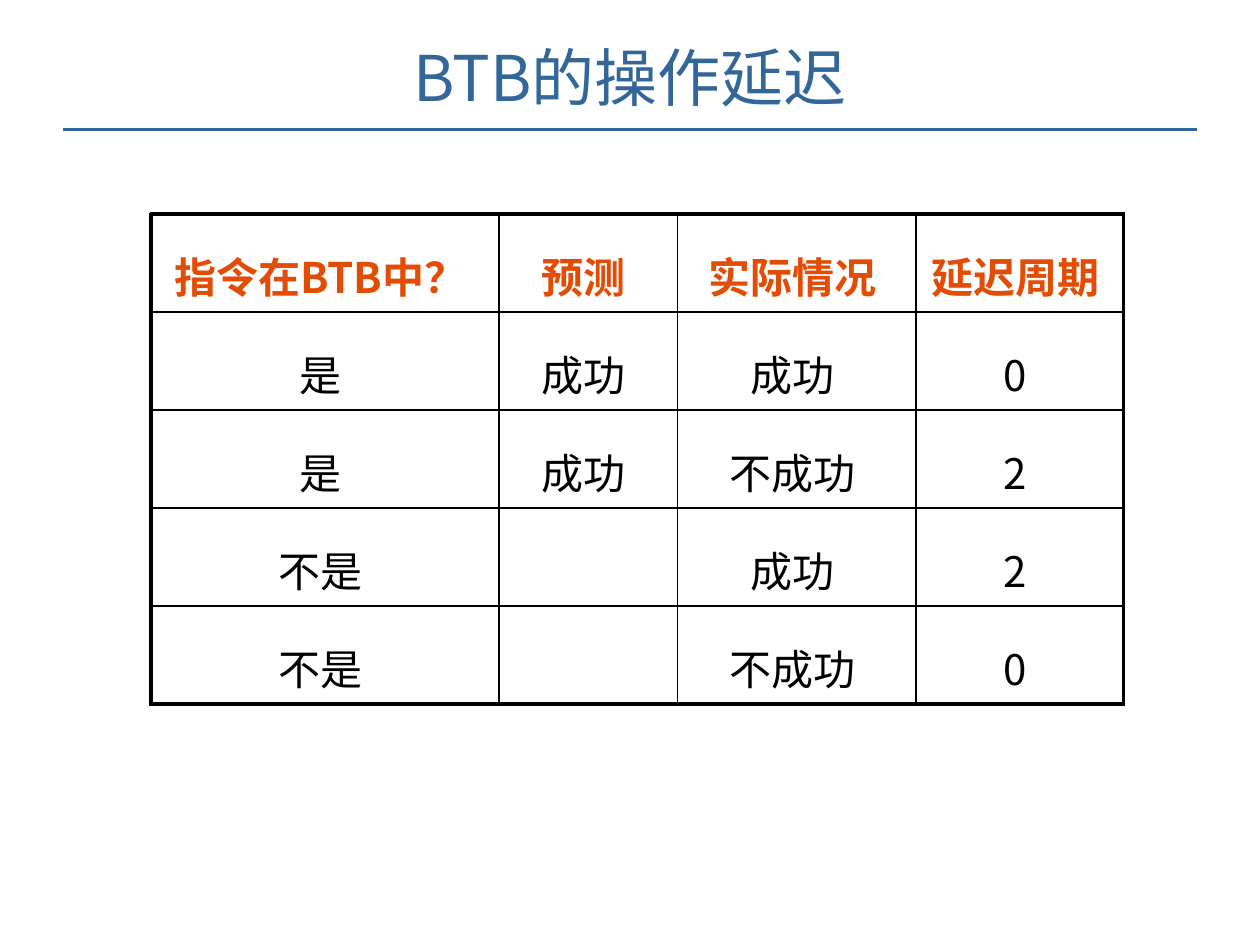
from dataclasses import dataclass

from pptx import Presentation
from pptx import util as u
from pptx.dml.color import RGBColor
from pptx.enum import shapes, text
from pptx.oxml import ns, xmlchemy


@dataclass(frozen=True)
class Theme:
    font: str = "Noto Sans CJK SC"
    accent: str = "336699"
    heading: str = "E24C05"
    ink: str = "000000"
    title_size: float = 36
    table_size: float = 24
    rule_width: float = 2
    inner_border: float = 1
    outer_border: float = 2.25


def add_child(parent, tag, **attributes):
    child = xmlchemy.OxmlElement(tag)
    for name, value in attributes.items():
        child.set(name, str(value))
    parent.append(child)
    return child


def write_text(frame, content, *, font, size, color, bold=False, line_spacing=1.0):
    paragraph = frame.paragraphs[0]
    paragraph.alignment = text.PP_ALIGN.CENTER
    paragraph.line_spacing = line_spacing
    run = paragraph.add_run()
    run.text = content
    run.font.name = font
    run.font.size = u.Pt(size)
    run.font.bold = bold
    run.font.color.rgb = RGBColor.from_string(color)
    add_child(run.font._element, "a:ea", typeface=font)


class SlideBuilder:
    def __init__(self, slide, theme):
        self.slide = slide
        self.theme = theme

    def title(self, content, left, top, width, height):
        shape = self.slide.shapes.title
        shape.left, shape.top = u.Pt(left), u.Pt(top)
        shape.width, shape.height = u.Pt(width), u.Pt(height)
        frame = shape.text_frame
        frame.word_wrap = True
        frame.auto_size = text.MSO_AUTO_SIZE.NONE
        frame.vertical_anchor = text.MSO_ANCHOR.MIDDLE
        write_text(frame, content, font=self.theme.font,
                   size=self.theme.title_size, color=self.theme.accent)

    def rule(self, left, right, top):
        line = self.slide.shapes.add_connector(
            shapes.MSO_CONNECTOR.STRAIGHT,
            u.Pt(left), u.Pt(top), u.Pt(right), u.Pt(top))
        line.line.color.rgb = RGBColor.from_string(self.theme.accent)
        line.line.width = u.Pt(self.theme.rule_width)
        add_child(line._element.find(ns.qn("p:spPr")), "a:effectLst")

    def table(self, rows, left, top, column_widths, row_height):
        row_count, column_count = len(rows), len(column_widths)
        shape = self.slide.shapes.add_table(
            row_count, column_count, u.Pt(left), u.Pt(top),
            u.Pt(sum(column_widths)), u.Pt(row_height * row_count))
        table = shape.table
        table.first_row = table.horz_banding = False
        for column, width in zip(table.columns, column_widths):
            column.width = u.Pt(width)
        for row_index, values in enumerate(rows):
            table.rows[row_index].height = u.Pt(row_height)
            for column_index, value in enumerate(values):
                cell = table.cell(row_index, column_index)
                self.borders(cell, {
                    "lnL": column_index == 0,
                    "lnR": column_index == column_count - 1,
                    "lnT": row_index == 0,
                    "lnB": row_index == row_count - 1,
                })
                cell.fill.background()
                if value:
                    self.cell_text(cell, value, is_heading=row_index == 0)

    def cell_text(self, cell, content, is_heading):
        write_text(cell.text_frame, content, font=self.theme.font,
                   size=self.theme.table_size, bold=is_heading, line_spacing=1.4,
                   color=self.theme.heading if is_heading else self.theme.ink)

    def borders(self, cell, edges):
        properties = cell._tc.get_or_add_tcPr()
        for edge, is_outer in edges.items():
            width = self.theme.outer_border if is_outer else self.theme.inner_border
            line = add_child(properties, f"a:{edge}", w=int(u.Pt(width)))
            fill = add_child(line, "a:solidFill")
            add_child(fill, "a:srgbClr", val=self.theme.ink)


def main():
    presentation = Presentation()
    presentation.slide_width, presentation.slide_height = u.Pt(720), u.Pt(540)
    slide = presentation.slides.add_slide(presentation.slide_layouts[5])
    builder = SlideBuilder(slide, Theme())
    builder.rule(left=36, right=684, top=74)
    builder.table(
        [
            ("指令在BTB中？ ", "预测 ", "实际情况 ", "延迟周期 "),
            ("是 ", "成功 ", "成功 ", "0 "),
            ("是 ", "成功 ", "不成功 ", "2 "),
            ("不是 ", "", "成功 ", "2 "),
            ("不是 ", "", "不成功 ", "0 "),
        ],
        left=86.4, top=122.4, column_widths=(198.7, 102.2, 136.1, 118.8),
        row_height=55.3)
    builder.title("BTB的操作延迟", left=0, top=16.5, width=720, height=54)
    presentation.save("out.pptx")


if __name__ == "__main__":
    main()
